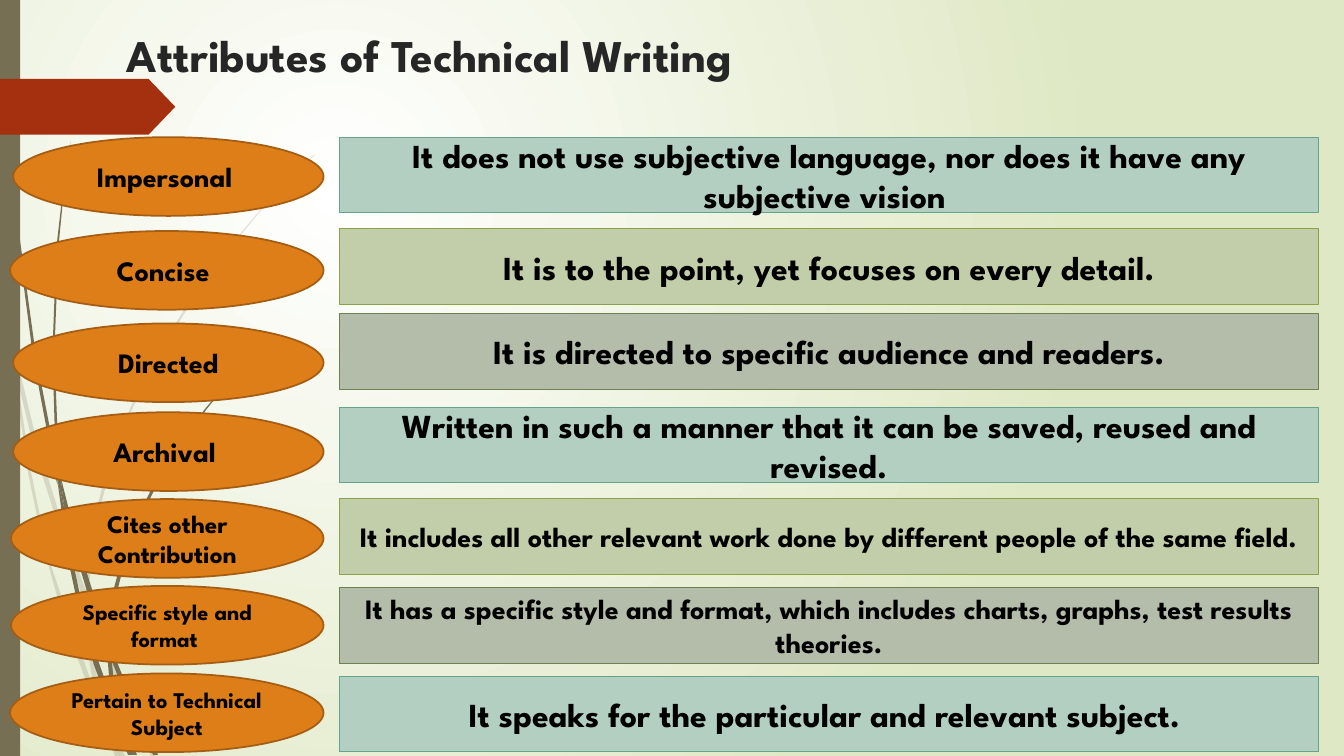
from itertools import cycle
from lxml.etree import SubElement
from pptx import Presentation
from pptx.dml.color import RGBColor as RGB
from pptx.enum.shapes import MSO_SHAPE as Form
from pptx.enum.text import MSO_ANCHOR as Anchor, MSO_AUTO_SIZE as Fit, PP_ALIGN as Align
from pptx.oxml.ns import qn
from pptx.util import Pt

# Content: label, label size, left, top; then detail, detail size, top
TITLE = "Attributes of Technical Writing"
ROWS = [
    (("Impersonal ", 20, 9.4, 98),
     ("It does not use subjective language, nor does it have any subjective vision ", 24, 98)),
    (("Concise ", 20, 7.2, 165),
     ("It is to the point, yet focuses on every detail.", 24, 163.4)),
    (("Directed", 20, 9.4, 231),
     ("It is directed to specific audience and readers.", 24, 224)),
    (("Archival ", 20, 9.4, 294.5),
     ("Written in such a manner that it can be saved, reused and revised.", 24, 291)),
    (("Cites other Contribution", 18, 7.9, 356.5),
     ("It includes all other relevant work done by different people of the same field.",
      20, 356.4)),
    (("Specific style and format ", 16, 7.9, 418.5),
     ("It has a specific style and format, which includes charts, graphs, test results theories.",
      20, 419.8)),
    (("Pertain to Technical Subject", 16, 7.2, 481),
     ("It speaks for the particular and relevant subject. ", 24, 483.1)),
]

# Grass blades behind the labels, in units of 0.72 pt
UNIT = Pt(0.72)
FAINT = [
    [(11, 350), (9, 322), (0, 282), (0, 299), (10, 344)],
    [(58, 522), (84, 599), (85, 586), (62, 520), (36, 436), (14, 345), (17, 376), (35, 450)],
    [(92, 607), (88, 596), (88, 610), (123, 694), (150, 750), (155, 750), (127, 692)],
    [(119, 750), (124, 750), (105, 711)],
    [(93, 683), (70, 619), (48, 553), (31, 469), (17, 376), (11, 350), (28, 470),
     (44, 546), (65, 621), (92, 693), (101, 714), (99, 707)],
    [(84, 599), (87, 646), (93, 683), (96, 692), (105, 711), (103, 706), (91, 646),
     (88, 610), (88, 608)],
    [(88, 584), (95, 522), (110, 462), (132, 404), (160, 349), (192, 296), (229, 245),
     (268, 198), (290, 175), (312, 154), (312, 153), (289, 175), (268, 197), (228, 244),
     (190, 295), (158, 348), (130, 403), (107, 461), (92, 521), (85, 584), (85, 586), (88, 596)],
    [(101, 714), (114, 750), (119, 750)],
    [(88, 608), (88, 610), (88, 596), (85, 586), (84, 599)],
    [(96, 692), (93, 683), (99, 707), (101, 714), (119, 750), (105, 711)],
]
DARK = [
    [(7, 110), (17, 233), (33, 355), (56, 477), (57, 481), (55, 457), (55, 453),
     (36, 355), (19, 232), (8, 109), (5, 48), (4, 0), (3, 0), (4, 48)],
    [(88, 592), (106, 645), (106, 631), (93, 590), (75, 532), (60, 472), (64, 505), (75, 549)],
    [(113, 649), (110, 641), (111, 656), (132, 708), (152, 749), (157, 749), (136, 706)],
    [(110, 691), (98, 657), (83, 607), (72, 556), (64, 505), (57, 477), (68, 557),
     (79, 608), (93, 659), (111, 708), (117, 722), (116, 717)],
    [(60, 472), (58, 453), (54, 349), (58, 245), (63, 193), (70, 141), (62, 193),
     (56, 245), (52, 349), (55, 449)],
    [(133, 749), (136, 749), (122, 719)],
    [(57, 477), (64, 505), (60, 472), (55, 449), (55, 453)],
    [(111, 633), (115, 592), (125, 552), (140, 513), (158, 476), (180, 440), (205, 406),
     (231, 374), (245, 359), (261, 344), (260, 344), (245, 358), (231, 373), (204, 405),
     (178, 439), (156, 474), (137, 512), (122, 551), (111, 591), (106, 631), (110, 641)],
    [(117, 722), (127, 749), (131, 749)],
    [(106, 645), (110, 691), (116, 706), (122, 719), (121, 716), (114, 686), (111, 656),
     (109, 651)],
    [(106, 645), (109, 651), (111, 656), (110, 641), (106, 631)],
    [(116, 706), (110, 691), (116, 717), (117, 722), (130, 749), (133, 749), (122, 719)],
]

# Colours
FONT = "League Spartan"
WHITE = RGB(0xFF, 0xFF, 0xFF)
LIME = RGB(0xDF, 0xE8, 0xC4)
BROWN = RGB(0x76, 0x6F, 0x54)
RED = RGB(0xA5, 0x30, 0x10)
INK = RGB(0x26, 0x26, 0x26)
BLACK = RGB(0, 0, 0)
AMBER = RGB(0xDE, 0x7E, 0x18)
RUST = RGB(0xA4, 0x5D, 0x12)
TINTS = [
    (RGB(0xB3, 0xCF, 0xC2), RGB(0x65, 0xA4, 0x8B)),
    (RGB(0xC2, 0xCE, 0xA9), RGB(0x8B, 0xA2, 0x49)),
    (RGB(0xB4, 0xBC, 0xAA), RGB(0x6D, 0x80, 0x4F)),
]

# Layout
WIDE, HIGH = 960, 540
OVAL_END, OVAL_H = 231.1, 56.2
BOX_X, BOX_W, BOX_H = 242.6, 699.1, 54


def paint(shape, fill, edge=None, width=0.75):
    shape.shadow.inherit = False
    shape.fill.solid()
    shape.fill.fore_color.rgb = fill
    if edge is None:
        shape.line.fill.background()
    else:
        shape.line.color.rgb = edge
        shape.line.width = Pt(width)


def write(shape, text, size, color, align):
    frame = shape.text_frame
    frame.word_wrap = True
    frame.auto_size = Fit.NONE
    frame.vertical_anchor = Anchor.MIDDLE
    para = frame.paragraphs[0]
    para.alignment = align
    run = para.add_run()
    run.text = text
    font = run.font
    font.name, font.size, font.bold = FONT, Pt(size), True
    font.color.rgb = color


def add(form, left, top, width, height):
    return slide.shapes.add_shape(form, Pt(left), Pt(top), Pt(width), Pt(height))


def grow(blades, alpha=None):
    group = slide.shapes.add_group_shape()
    for first, *rest in blades:
        pen = group.shapes.build_freeform(*first, scale=UNIT)
        pen.add_line_segments(rest, close=True)
        blade = pen.convert_to_shape()
        paint(blade, BROWN)
        if alpha:
            color = blade._element.spPr.find(".//" + qn("a:srgbClr"))
            SubElement(color, qn("a:alpha"), val=str(alpha * 1000))


deck = Presentation()
deck.slide_width, deck.slide_height = Pt(WIDE), Pt(HIGH)
slide = deck.slides.add_slide(deck.slide_layouts[5])

# Background: glow spreading from the upper left
back = slide.background.fill
back.gradient()
for stop, color in zip(back.gradient_stops, (WHITE, LIME)):
    stop.color.rgb = color
grad = slide._element.find(".//" + qn("a:gradFill"))
grad.remove(grad.find(qn("a:lin")))
glow = SubElement(grad, qn("a:path"), path="circle")
SubElement(glow, qn("a:fillToRect"), l="50000", t="50000", r="100000", b="100000")

# Side decoration
grow(FAINT, 20)
grow(DARK)
paint(add(Form.RECTANGLE, 0, 0, 14.4, HIGH), BROWN)
flag = add(Form.PENTAGON, 0, 56.4, 125.2, 39.8)
flag.adjustments[0] = 0.48
paint(flag, RED)

# Title
title = slide.shapes.title
title.left, title.top, title.width, title.height = Pt(83.5), Pt(13.7), Pt(828), Pt(49.7)
write(title, TITLE, 32.4, INK, Align.LEFT)

# Detail boxes and label ovals
for (label, detail), (fill, edge) in zip(ROWS, cycle(TINTS)):
    text, size, top = detail
    box = add(Form.RECTANGLE, BOX_X, top, BOX_W, BOX_H)
    paint(box, fill, edge)
    write(box, text, size, BLACK, Align.CENTER)

    text, size, left, top = label
    oval = add(Form.OVAL, left, top, OVAL_END - left, OVAL_H)
    paint(oval, AMBER, RUST, 1.25)
    write(oval, text, size, BLACK, Align.CENTER)

deck.save("out.pptx")
